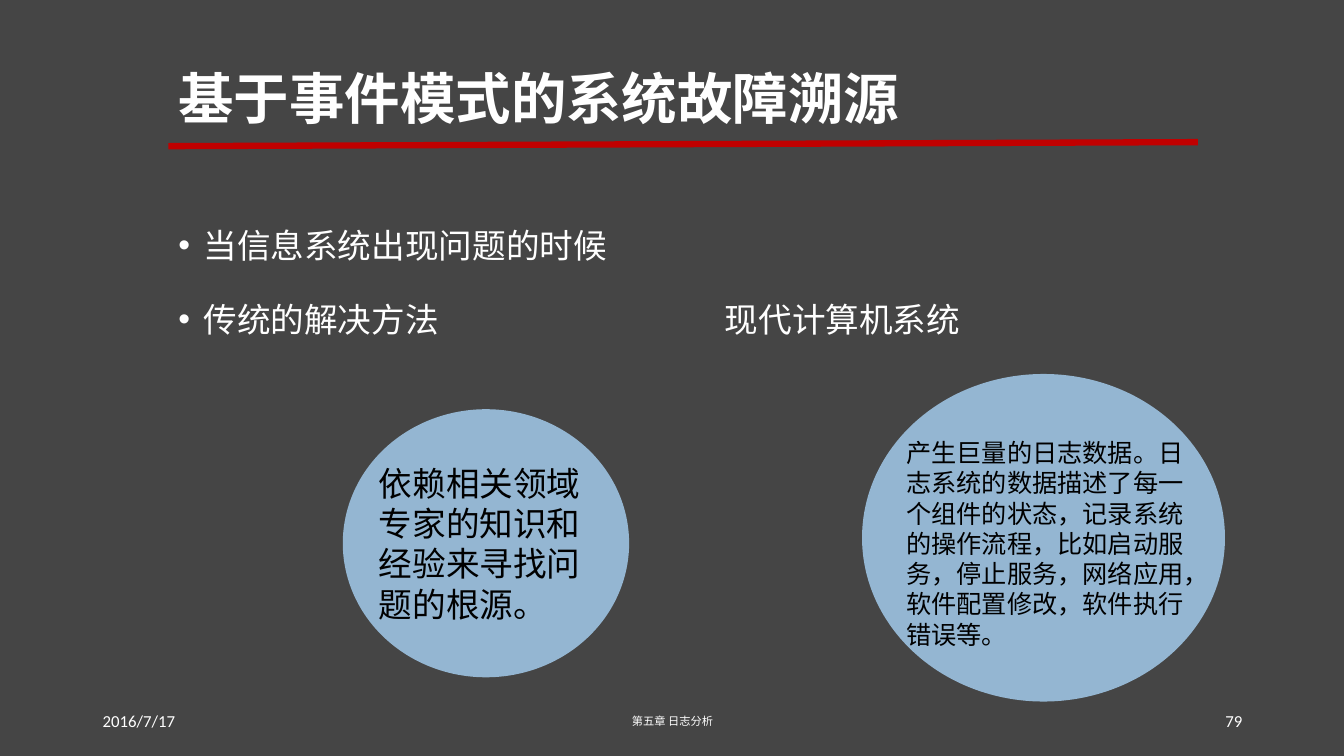
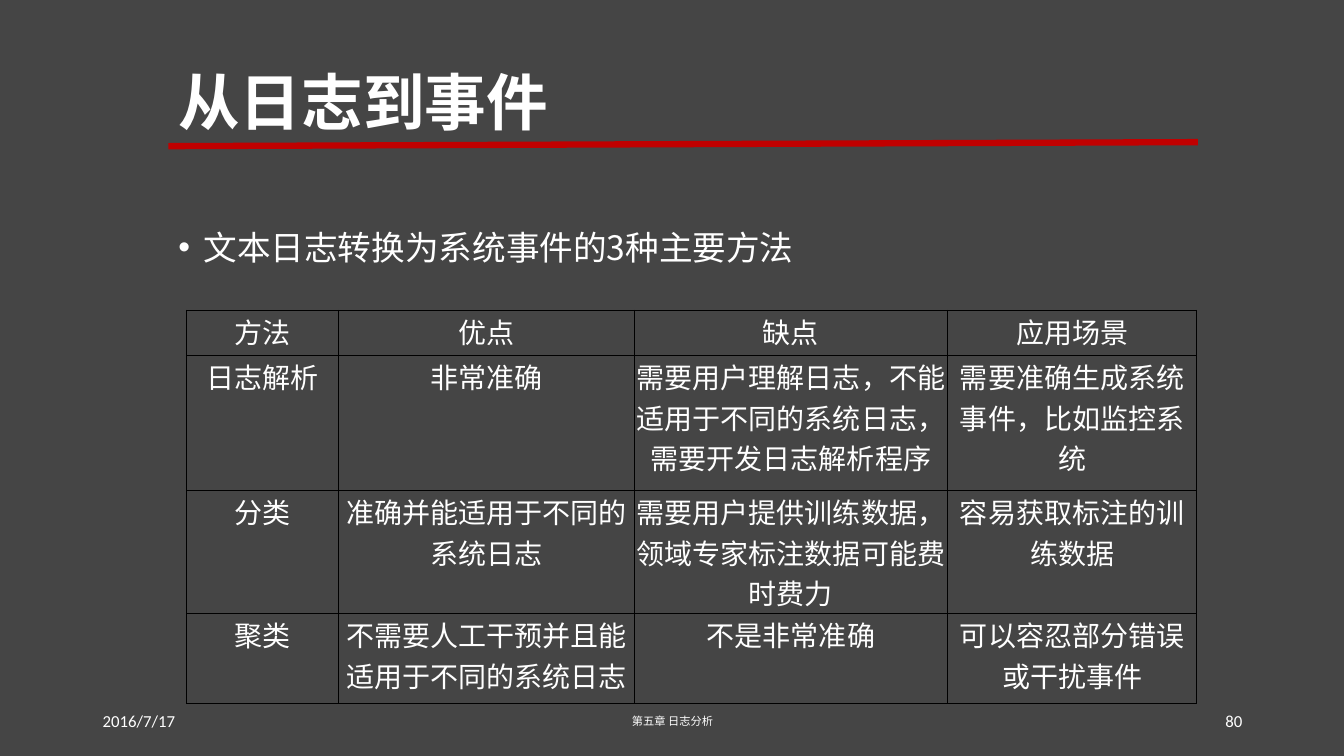
from lxml import etree
from pptx import Presentation
from pptx.dml.color import RGBColor
from pptx.enum import shapes, text
from pptx.oxml import ns
from pptx.util import Inches, Pt

COLORS = {"background": "454545", "rule": "C00000", "light": "FFFFFF",
          "dark": "000000", "circle": "94B6D2", "border": "000000"}
CHINESE, LATIN = "Noto Sans CJK SC", "Calibri"
LEFT, CENTER, RIGHT = text.PP_ALIGN.LEFT, text.PP_ALIGN.CENTER, text.PP_ALIGN.RIGHT
TOP, MIDDLE = text.MSO_ANCHOR.TOP, text.MSO_ANCHOR.MIDDLE


def add_run(paragraph, words, size, font=CHINESE, color="light", bold=False):
    run = paragraph.add_run()
    run.text = words
    run.font.size = Pt(size)
    run.font.bold = bold
    run.font.color.rgb = RGBColor.from_string(COLORS[color])
    run.font.name = font
    east_asian = etree.SubElement(run.font._element, ns.qn("a:ea"))
    east_asian.set("typeface", font)


def add_text(slide, box, lines, size, font=CHINESE, color="light", bold=False,
             align=LEFT, anchor=TOP, spacing=None):
    shape = slide.shapes.add_textbox(*[Inches(value) for value in box])
    frame = shape.text_frame
    frame.word_wrap = True
    frame.vertical_anchor = anchor
    for index, line in enumerate(lines):
        paragraph = frame.paragraphs[0] if index == 0 else frame.add_paragraph()
        paragraph.alignment = align
        paragraph.line_spacing = spacing
        add_run(paragraph, line, size, font, color, bold)
    return frame


presentation = Presentation()
presentation.slide_width, presentation.slide_height = Inches(13.33), Inches(7.5)
background = presentation.slide_master.background.fill
background.solid()
background.fore_color.rgb = RGBColor.from_string(COLORS["background"])

# Title, title top, title size, body top, bullets
pages = [
    ("基于事件模式的系统故障溯源", 0.28, 39.6, 1.98,
     ["当信息系统出现问题的时候", "传统的解决方法\t现代计算机系统"]),
    ("从日志到事件", 0.32, 44, 2, ["文本日志转换为系统事件的3种主要方法"]),
]
slides = []
for number, (title, title_top, title_size, body_top, bullets) in enumerate(pages, 79):
    slide = presentation.slides.add_slide(presentation.slide_layouts[6])
    slides.append(slide)

    # Red rule under the title
    rule = slide.shapes.add_connector(shapes.MSO_CONNECTOR.STRAIGHT, Inches(1.67),
                                      Inches(1.45), Inches(11.88), Inches(1.41))
    rule.line.color.rgb = RGBColor.from_string(COLORS["rule"])
    rule.line.width = Pt(4.5)
    etree.SubElement(rule._element.spPr, ns.qn("a:effectLst"))

    add_text(slide, (1.67, title_top, 10.21, 1.45), [title], title_size,
             bold=True, anchor=MIDDLE, spacing=0.9)

    # Bulleted body, with a tab stop for the right-hand heading
    body = add_text(slide, (1.67, body_top, 10.21, 4.76), bullets, 24, spacing=1.5)
    for paragraph in body.paragraphs:
        paragraph.space_before = Pt(10)
        properties = paragraph._p.get_or_add_pPr()
        properties.set("marL", str(Inches(0.25)))
        properties.set("indent", str(-Inches(0.25)))
        etree.SubElement(properties, ns.qn("a:buFont"), typeface="Arial")
        etree.SubElement(properties, ns.qn("a:buChar"), char="•")
        tabs = etree.SubElement(properties, ns.qn("a:tabLst"))
        etree.SubElement(tabs, ns.qn("a:tab"), pos=str(Inches(5.42)), algn="l")

    # Footer: date, chapter, page number
    for left, width, words, size, font, align in [
            (0.92, 3, "2016/7/17", 12, LATIN, LEFT),
            (4.42, 4.5, "第五章 日志分析", 8, CHINESE, CENTER),
            (9.42, 3, str(number), 12, LATIN, RIGHT)]:
        add_text(slide, (left, 6.95, width, 0.4), [words], size, font,
                 align=align, anchor=MIDDLE)

fault_slide, event_slide = slides

# Circles comparing the two situations
for circle_box, text_box, size, words in [
        ((8.55, 3.71, 3.6, 3.25), (8.89, 4.29, 3.13, 2.2), 18,
         "产生巨量的日志数据。日志系统的数据描述了每一个组件的状态，记录系统的操作流程，"
         "比如启动服务，停止服务，网络应用，软件配置修改，软件执行错误等。"),
        ((3.4, 4.06, 2.84, 2.66), (3.66, 4.54, 2.33, 1.7), 24,
         "依赖相关领域专家的知识和经验来寻找问题的根源。")]:
    circle = fault_slide.shapes.add_shape(shapes.MSO_SHAPE.OVAL,
                                          *[Inches(value) for value in circle_box])
    circle.shadow.inherit = False
    circle.fill.solid()
    circle.fill.fore_color.rgb = RGBColor.from_string(COLORS["circle"])
    circle.line.fill.background()
    add_text(fault_slide, text_box, [words], size, LATIN, "dark")

# Table of the three methods
rows = [
    ["方法", "优点", "缺点", "应用场景"],
    ["日志解析", "非常准确", "需要用户理解日志，不能适用于不同的系统日志，需要开发日志解析程序",
     "需要准确生成系统事件，比如监控系统"],
    ["分类", "准确并能适用于不同的系统日志",
     "需要用户提供训练数据，领域专家标注数据可能费时费力", "容易获取标注的训练数据"],
    ["聚类", "不需要人工干预并且能适用于不同的系统日志", "不是非常准确",
     "可以容忍部分错误或干扰事件"],
]
widths, heights = [1.51, 2.93, 3.11, 2.47], [0.45, 1.34, 1.22, 0.89]
table = event_slide.shapes.add_table(
    len(rows), len(widths), Inches(1.85), Inches(3.08),
    Inches(sum(widths)), Inches(sum(heights))).table
for column, width in zip(table.columns, widths):
    column.width = Inches(width)
for row, height in zip(table.rows, heights):
    row.height = Inches(height)
for row_index, row in enumerate(rows):
    # Heavier lines around the header and below the last row
    top = 1 if row_index < 2 else 0.75
    bottom = 1 if row_index in (0, len(rows) - 1) else 0.75
    for column_index, words in enumerate(row):
        cell = table.cell(row_index, column_index)
        cell.margin_left = cell.margin_right = cell.margin_top = cell.margin_bottom = 0
        paragraph = cell.text_frame.paragraphs[0]
        paragraph.alignment = CENTER
        add_run(paragraph, words, 20)
        properties = cell._tc.get_or_add_tcPr()
        for side, width in [("L", 0.75), ("R", 0.75), ("T", top), ("B", bottom)]:
            border = etree.SubElement(properties, ns.qn(f"a:ln{side}"), w=str(Pt(width)))
            fill = etree.SubElement(border, ns.qn("a:solidFill"))
            etree.SubElement(fill, ns.qn("a:srgbClr"), val=COLORS["border"])
        cell.fill.background()

presentation.save("out.pptx")
